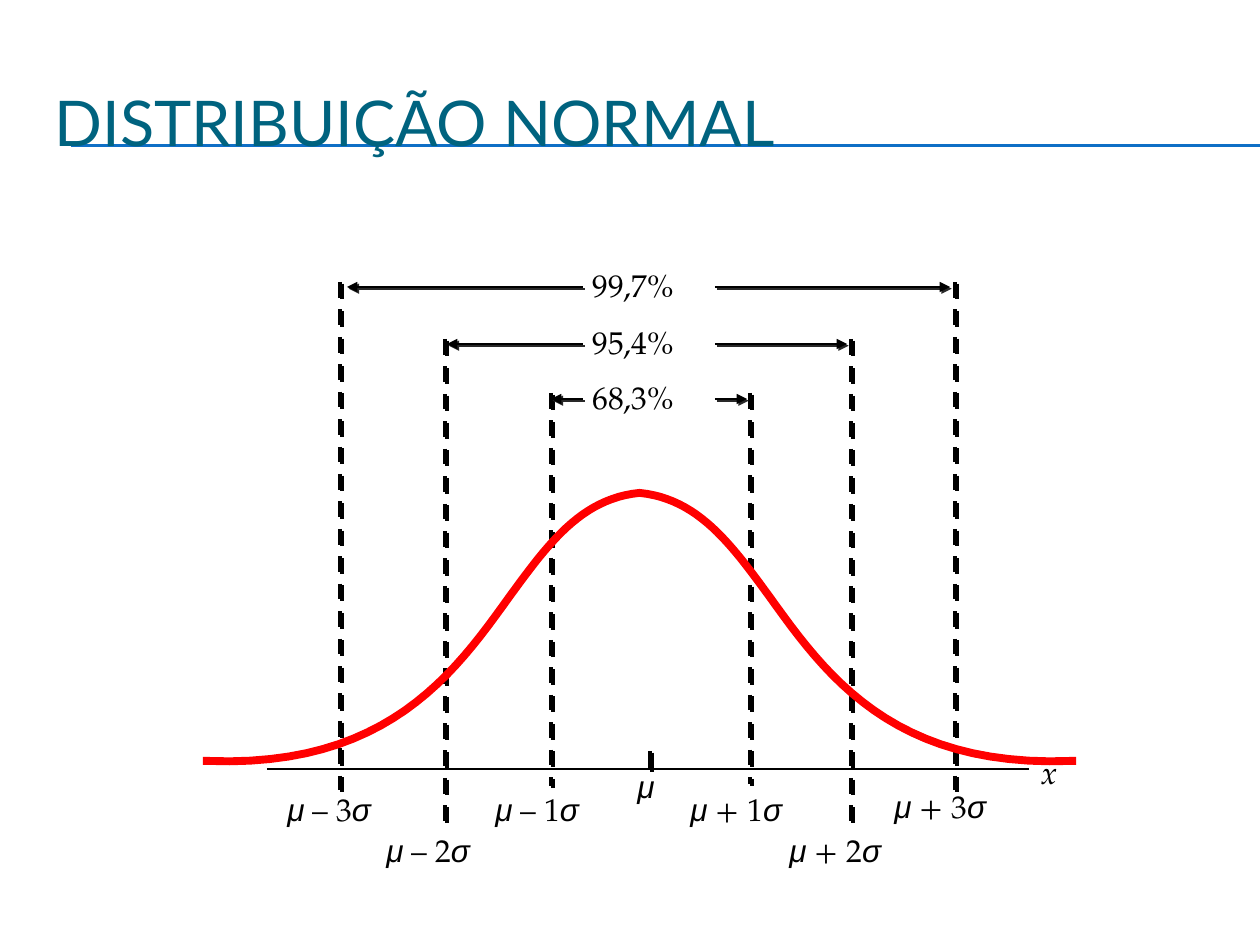
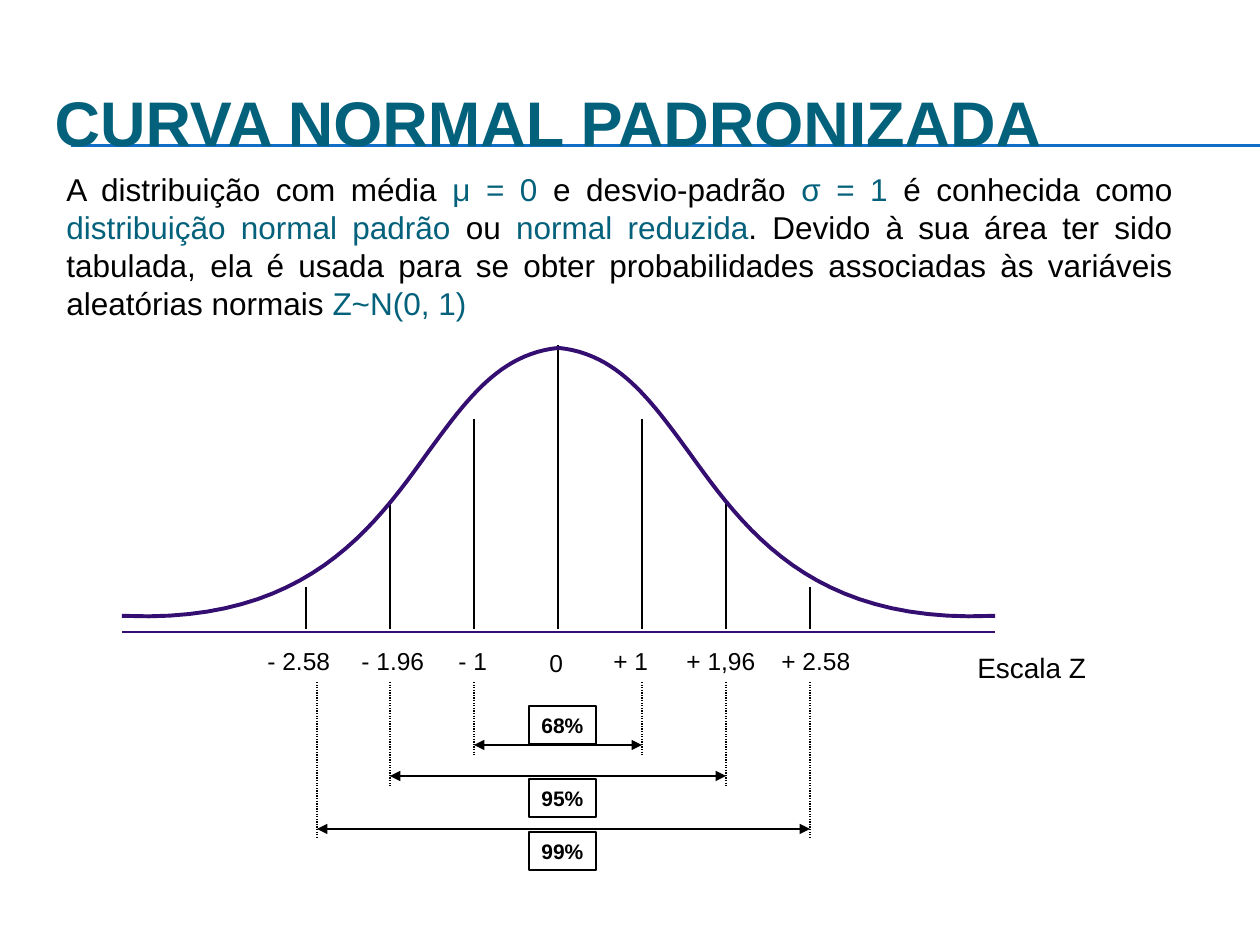
from lxml import etree
from pptx import Presentation, util as u
from pptx.dml.color import RGBColor
from pptx.enum import dml, shapes, text
from pptx.oxml.ns import qn

SCALE = 914400 / 126
BLACK = RGBColor(0x00, 0x00, 0x00)
GREY = RGBColor(0x29, 0x29, 0x29)
RED = RGBColor(0xFF, 0x00, 0x00)
BLUE = RGBColor(0x0F, 0x6F, 0xC6)
PURPLE = RGBColor(0x34, 0x0E, 0x70)
TEAL = RGBColor(0x04, 0x61, 0x7B)
DEEP = RGBColor(0x00, 0x63, 0x7F)
SERIF, SANS = "TeX Gyre Pagella", "Arial"
DASH, DOT = dml.MSO_LINE.DASH, dml.MSO_LINE.ROUND_DOT

# Left half of the bell: two cubic curves, mirrored about the middle
BELL = 873
HALF = [[(5, 270), (184, 277), (251, 183), (307, 105)],
        [(307, 105), (345, 53), (378, 8), (436, 2)]]


def px(n):
    return round(n * SCALE)


def setall(item, **values):
    for key, value in values.items():
        setattr(item, key, value)


def write(para, words, size, face=SANS, color=BLACK, **fmt):
    run = para.add_run()
    run.text = words
    setall(run.font, size=u.Pt(size), name=face, **fmt)
    run.font.color.rgb = color


def bezier(points, steps=24):
    a, b, c, d = points
    for i in range(steps + 1):
        t = i / steps
        s = 1 - t
        yield tuple(s**3 * a[k] + 3 * s * s * t * b[k] + 3 * s * t * t * c[k]
                    + t**3 * d[k] for k in (0, 1))


class Box:
    """A region of a slide; every place is in px from its corner."""

    def __init__(self, slide, left, top):
        self.shapes, self.left, self.top = slide.shapes, left, top

    def spot(self, x, y):
        return px(self.left + x), px(self.top + y)

    def line(self, x1, y1, x2, y2, color=BLACK, width=0.75, dash=None,
             ends=(), shade=None):
        link = self.shapes.add_connector(
            shapes.MSO_CONNECTOR.STRAIGHT, *self.spot(x1, y1), *self.spot(x2, y2))
        setall(link.line, width=u.Pt(width), dash_style=dash)
        link.line.color.rgb = color
        for end in ends:
            etree.SubElement(link.get_or_add_ln(), qn(f"a:{end}End"), type="triangle")
        effects = etree.SubElement(link.element.spPr, qn("a:effectLst"))
        if shade is not None:
            drop = etree.SubElement(effects, qn("a:outerShdw"), dist="17960",
                                    dir="2700000", algn="ctr", rotWithShape="0")
            etree.SubElement(drop, qn("a:srgbClr"), val=str(shade))

    def label(self, x, y, w, h, runs, wrap=False):
        """Add a text box; each run is (words, size, format)."""
        box = self.shapes.add_textbox(*self.spot(x, y), px(w), px(h))
        setall(box.text_frame, word_wrap=wrap,
               auto_size=text.MSO_AUTO_SIZE.SHAPE_TO_FIT_TEXT)
        for words, size, fmt in runs:
            write(box.text_frame.paragraphs[0], words, size, **fmt)
        return box

    def bell(self, x, y, color, width):
        left = [(0, 270)] + [p for part in HALF for p in bezier(part)]
        right = [(BELL - a, b) for a, b in reversed(left)]
        dots = [self.spot(x + a, y + b) for a, b in left + right]
        pen = self.shapes.build_freeform(*dots[0])
        pen.add_line_segments(dots[1:], close=False)
        curve = pen.convert_to_shape()
        curve.shadow.inherit = False
        curve.fill.background()
        curve.line.width = u.Pt(width)
        curve.line.color.rgb = color


def start(deck, words, **fmt):
    """Add a slide with the double rule and its title in front."""
    slide = deck.slides.add_slide(deck.slide_layouts[5])
    page = Box(slide, 0, 0)
    for y in (145, 146):
        page.line(71, y, 1260, y, BLUE)
    title = slide.shapes.title
    setall(title, left=px(42), top=px(63), width=px(1197), height=px(116))
    setall(title.text_frame, word_wrap=True, auto_size=text.MSO_AUTO_SIZE.NONE,
           vertical_anchor=text.MSO_ANCHOR.MIDDLE)
    para = title.text_frame.paragraphs[0]
    para.alignment = text.PP_ALIGN.LEFT
    write(para, words, 36, **fmt)
    title.element.getparent().append(title.element)
    return slide


def sigmas(slide, left, top):
    """Bell with its one, two and three sigma bands."""
    box = Box(slide, left, top)
    greek = dict(face=SANS, italic=True)
    serif = dict(face=SERIF)
    box.line(450, 491, 450, 510, width=2.25, shade=BLACK)
    box.line(67, 509, 829, 509, width=1.5)
    box.label(829, 487, 47, 63, [("x", 18, dict(face=SERIF, italic=True))])
    box.label(425, 501, 50, 63, [("μ", 18, greek)])

    # x, top, bottom of each dashed line, then its label
    for x, y1, y2, lx, ly, sign in (
            (140, 22, 530, 75, 524, "– 3"), (245, 79, 569, 174, 565, "– 2"),
            (351, 133, 526, 283, 524, "– 1"), (550, 133, 524, 478, 524, "+ 1"),
            (651, 79, 565, 577, 565, "+ 2"), (755, 22, 530, 682, 521, "+ 3")):
        box.line(x, y1, x, y2, width=2.25, dash=DASH, shade=BLACK)
        box.label(lx, ly, 140, 63, [("μ", 18, greek), (f" {sign}", 18, serif),
                                    ("σ", 18, greek)])

    for share, y, x1, x2 in (("99,7%", 27, 147, 750), ("95,4%", 84, 247, 647),
                             ("68,3%", 139, 351, 547)):
        box.label(380, y - 27, 135, 64, [(share, 18, serif)])
        for near, far in ((383, x1), (515, x2)):
            box.line(near, y, far, y, width=1, ends=["tail"], shade=GREY)
    box.bell(3, 231, RED, 4.5)


def zscale(slide, left, top):
    """Standard bell over the Z scale, with the spans below."""
    box = Box(slide, left, top)
    marks = [184 + 84 * i for i in range(7)]
    tops = [-1, 73, 157, 241]
    for i, x in enumerate(marks):
        box.line(x, 283, x, tops[abs(i - 3)])
    for x, y, words in ((133, 294, "- 2.58"), (227, 294, "- 1.96"),
                        (324, 294, "- 1"), (415, 296, "0"), (479, 294, "+ 1"),
                        (552, 294, "+ 1,96"), (647, 294, "+ 2.58")):
        box.label(x, y, 36 + 12 * len(words), 42, [(words, 14, {})])
    box.label(843, 298, 150, 47, [("Escala Z", 16, {})])

    for share, x1, x2, y, ly in (("68%", marks[2], marks[4], 399, 360),
                                 ("95%", marks[1], marks[5], 430, 433),
                                 ("99%", 195, marks[6], 483, 486)):
        for x in (x1, x2):
            box.line(x, 336, x, y + 10, dash=DOT)
        box.line(x1, y, x2, y, ends=["head", "tail"])
        tag = box.label(407, ly, 67, 38, [(share, 12, dict(bold=True))])
        tag.line.width = u.Pt(0.75)
        tag.line.color.rgb = BLACK
    box.line(0, 286, BELL, 286, PURPLE, 1.5)
    box.bell(0, 0, PURPLE, 2.25)


def intro(slide, left, top):
    words = ("A distribuição com média |μ = 0| e desvio-padrão |σ = 1| é conhecida "
             "como |distribuição normal padrão| ou |normal reduzida|. Devido à sua "
             "área ter sido tabulada, ela é usada para se obter probabilidades "
             "associadas às variáveis aleatórias normais |Z~N(0, 1)")
    runs = [(part, 18, dict(color=TEAL if i % 2 else BLACK))
            for i, part in enumerate(words.split("|"))]
    box = Box(slide, left, top).label(0, 0, 1131, 165, runs, wrap=True)
    box.text_frame.paragraphs[0].alignment = text.PP_ALIGN.JUSTIFY


def main():
    deck = Presentation()
    setall(deck, slide_width=px(1260), slide_height=px(945))
    slide = start(deck, "DISTRIBUIÇÃO NORMAL", face="Lato", color=DEEP)
    sigmas(slide, 200, 260)
    slide = start(deck, "CURVA NORMAL PADRONIZADA", color=TEAL, bold=True)
    zscale(slide, 122, 346)
    intro(slide, 54, 164)
    deck.save("out.pptx")


if __name__ == "__main__":
    main()
